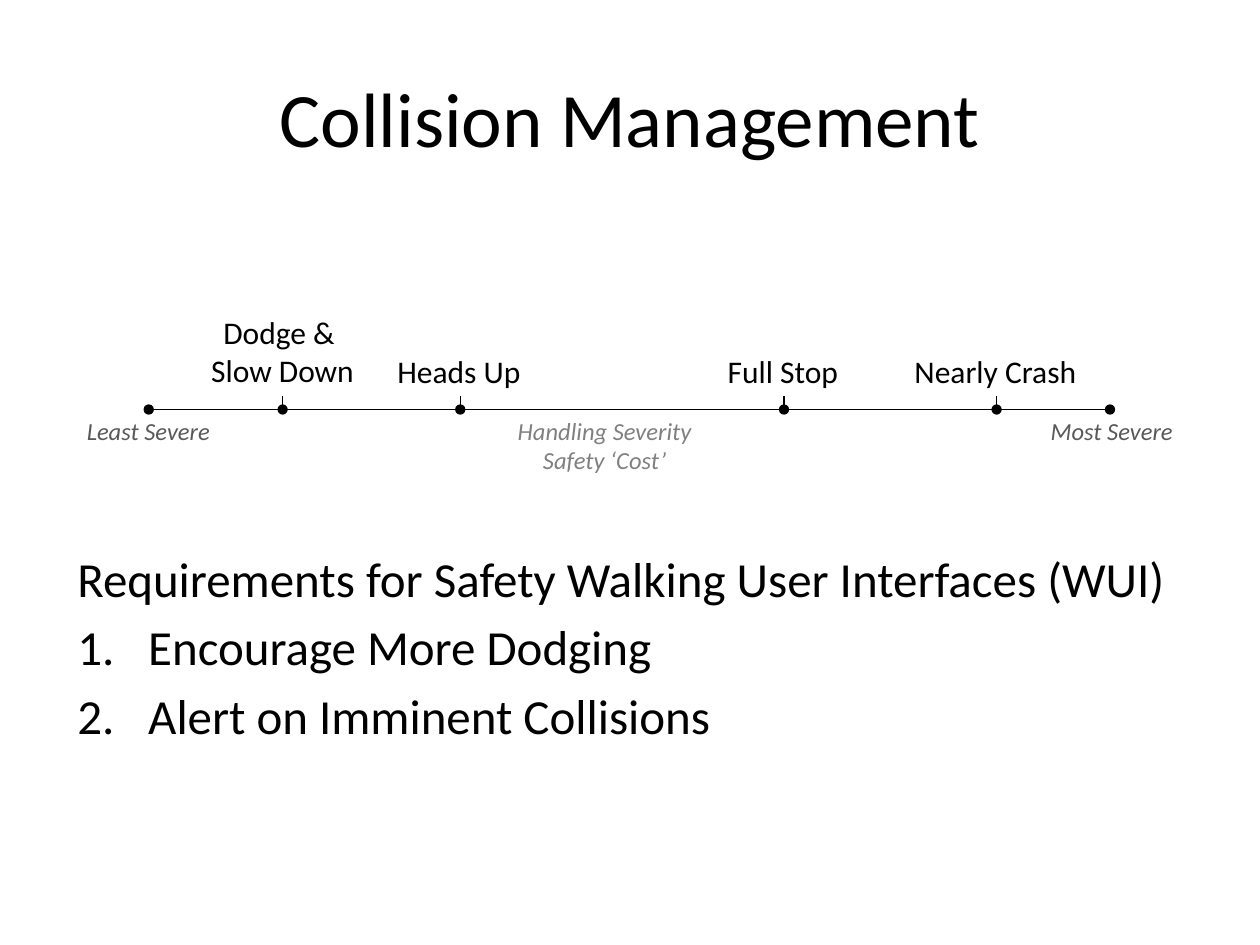
import pptx
import pptx.util
import pptx.dml.color
import pptx.enum.shapes
import pptx.enum.text
import pptx.oxml.ns
import lxml.etree

Pt = pptx.util.Pt
RGB = pptx.dml.color.RGBColor
Align = pptx.enum.text.PP_ALIGN
Anchor = pptx.enum.text.MSO_ANCHOR
Fit = pptx.enum.text.MSO_AUTO_SIZE
qn = pptx.oxml.ns.qn

BLACK = RGB(0, 0, 0)
DARK = RGB(0x59, 0x59, 0x59)
GRAY = RGB(0x80, 0x80, 0x80)

AXIS = 234      # height of the scale line
FOOT = 226.4    # bottom of the stage labels

# Stage: text, middle, width, height, alignment
STAGES = [
    ("Dodge & \vSlow Down", 161.5, 97, 51, Align.CENTER),
    ("Heads Up", 263, 86, 29, None),
    ("Full Stop", 448, 78.5, 29, None),
    ("Nearly Crash", 569.5, 108, 29, None),
]

# Note below the scale: text, left, width, height, colour, alignment, wrap
NOTES = [
    ("Handling Severity Safety ‘Cost’", 282.2, 126.7, 41, GRAY, Align.CENTER, True),
    ("Least Severe", 42.5, 85.7, 24.2, DARK, None, False),
    ("Most Severe", 593.3, 85, 24.2, DARK, None, False),
]

POINTS = ["Encourage More Dodging", "Alert on Imminent Collisions"]


def place(shape, left, top, width, height):
    shape.left, shape.top = Pt(left), Pt(top)
    shape.width, shape.height = Pt(width), Pt(height)


def write(para, text, size=18, color=BLACK, italic=None, align=None):
    para.text = text
    para.alignment = align
    font = para.font
    font.name, font.size, font.italic = "Calibri", Pt(size), italic
    font.color.rgb = color
    for run in para.runs:
        run.font.name, run.font.size, run.font.italic = "Calibri", Pt(size), italic
        run.font.color.rgb = color


def label(slide, text, left, top, width, height, wrap=False, **style):
    box = slide.shapes.add_textbox(Pt(left), Pt(top), Pt(width), Pt(height))
    frame = box.text_frame
    frame.word_wrap = wrap
    frame.auto_size = Fit.SHAPE_TO_FIT_TEXT
    write(frame.paragraphs[0], text, **style)
    return box


def rule(slide, start, end, ends=("tailEnd",)):
    kind = pptx.enum.shapes.MSO_CONNECTOR.STRAIGHT
    line = slide.shapes.add_connector(kind, *(Pt(n) for n in start + end))
    line.line.color.rgb = BLACK
    line.line.width = Pt(0.75)
    stroke = line.line._get_or_add_ln()
    for tag in ends:
        lxml.etree.SubElement(stroke, qn("a:" + tag), type="oval")
    lxml.etree.SubElement(line._element.spPr, qn("a:effectLst"))
    return line


def bullet(para, indent=0, style=None):
    props = para._p.get_or_add_pPr()
    props.set("marL", str(Pt(indent)))
    props.set("indent", str(-Pt(indent)))
    if style:
        lxml.etree.SubElement(props, qn("a:buFont"), typeface="+mj-lt")
        lxml.etree.SubElement(props, qn("a:buAutoNum"), type=style)
    else:
        lxml.etree.SubElement(props, qn("a:buNone"))


def needs(body):
    frame = body.text_frame
    lead = frame.paragraphs[0]
    lead.space_before = Pt(0)
    bullet(lead)
    write(lead, "Requirements for Safety Walking User Interfaces (WUI)", size=28)
    for text in POINTS:
        para = frame.add_paragraph()
        bullet(para, 40.5, "arabicPeriod")
        write(para, text, size=28)


def scale(slide):
    rule(slide, (85, AXIS), (634.3, AXIS), ("headEnd", "tailEnd"))
    for text, left, width, height, color, align, wrap in NOTES:
        label(slide, text, left, AXIS, width, height, wrap,
              size=14, color=color, italic=True, align=align)
    # Each stage stands on a tick that ends in a dot on the scale
    for text, mid, width, height, align in STAGES:
        box = label(slide, text, mid - width / 2, FOOT - height,
                    width, height, align=align)
        tick = rule(slide, (mid, FOOT), (mid, AXIS))
        tick.begin_connect(box, 2)


def main():
    deck = pptx.Presentation()
    deck.slide_width, deck.slide_height = Pt(720), Pt(540)
    slide = deck.slides.add_slide(deck.slide_layouts[1])

    # Title
    title = slide.shapes.title
    place(title, 36, 21.6, 648, 90)
    title.text_frame.vertical_anchor = Anchor.MIDDLE
    write(title.text_frame.paragraphs[0], "Collision Management",
          size=44, align=Align.CENTER)

    # Numbered list
    body = slide.placeholders[1]
    place(body, 37, 309.6, 647, 172.8)
    needs(body)

    # Severity scale
    scale(slide)
    deck.save("out.pptx")


if __name__ == "__main__":
    main()
